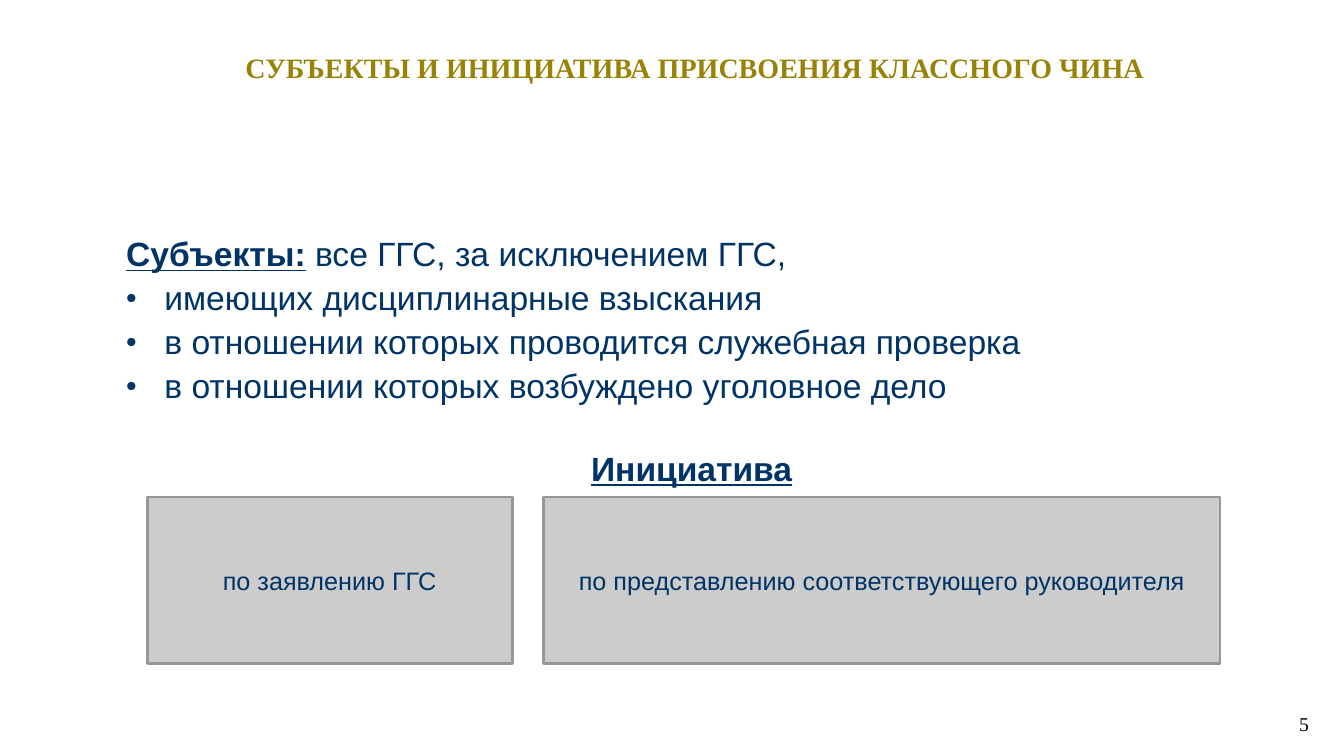
import pptx
import pptx.dml.color
import pptx.enum.shapes
import pptx.enum.text
import pptx.oxml.ns
import pptx.util
from lxml import etree

Inches, Pt = pptx.util.Inches, pptx.util.Pt
ALIGN, ANCHOR = pptx.enum.text.PP_ALIGN, pptx.enum.text.MSO_ANCHOR
COLORS = {"title": "998307", "text": "003366", "number": "000000",
          "fill": "CCCCCC", "line": "979797"}


def rgb(name):
    """Return the named palette colour."""
    return pptx.dml.color.RGBColor.from_string(COLORS[name])


def place(sp, box):
    """Move a shape to a box given as left, top, width, height in inches."""
    sp.left, sp.top, sp.width, sp.height = map(Inches, box)


def add_text(p, text, size=24, font="Arial", color="text", bold=False,
             underline=False, align=None):
    """Append a formatted run to a paragraph."""
    r = p.add_run()
    r.text = text
    r.font.size, r.font.name = Pt(size), font
    r.font.bold, r.font.underline = bold, underline
    r.font.color.rgb = rgb(color)
    if align is not None:
        p.alignment = align


def set_frame(tf, anchor):
    """Wrap text at a fixed frame size with the given anchor."""
    tf.word_wrap = True
    tf.auto_size = pptx.enum.text.MSO_AUTO_SIZE.NONE
    tf.vertical_anchor = anchor


def set_indent(p, bullet):
    """Give a paragraph a hanging indent, with or without a bullet."""
    pPr = p._p.get_or_add_pPr()
    pPr.set("marL", str(Inches(0.38)))
    pPr.set("indent", str(-Inches(0.38)))

    def add(parent, tag, **attrs):
        return etree.SubElement(parent, pptx.oxml.ns.qn(tag), attrs)

    if bullet:
        add(add(pPr, "a:buClr"), "a:srgbClr", val=COLORS["text"])
        add(pPr, "a:buSzPct", val="90000")
        add(pPr, "a:buFont", typeface="Arial")
        add(pPr, "a:buChar", char="•")
    else:
        add(pPr, "a:buNone")


def fill_title(s, box, text):
    """Fill the title placeholder."""
    sp = s.shapes.title
    place(sp, box)
    set_frame(sp.text_frame, ANCHOR.TOP)
    add_text(sp.text_frame.paragraphs[0], text, size=20, font="Times New Roman",
             color="title", bold=True, align=ALIGN.CENTER)


def fill_body(s, box, lead, intro, items, heading):
    """Fill the body placeholder with the subjects list and closing heading."""
    sp = s.placeholders[1]
    place(sp, box)
    tf = sp.text_frame
    set_frame(tf, ANCHOR.TOP)
    p = tf.paragraphs[0]
    add_text(p, lead, bold=True, underline=True, align=ALIGN.JUSTIFY)
    add_text(p, intro)
    for item in items:
        add_text(tf.add_paragraph(), item, align=ALIGN.JUSTIFY)
    for i, p in enumerate(tf.paragraphs):
        p.line_spacing, p.space_before = 0.9, Pt(5.5)
        set_indent(p, bullet=i > 0)
    p = tf.add_paragraph()
    add_text(p, heading, bold=True, underline=True, align=ALIGN.CENTER)
    p.line_spacing, p.space_before = 1.0, Pt(30)
    set_indent(p, bullet=False)


def add_initiatives(s, box, gap, initiatives):
    """Add a row of panels, each given as text and width."""
    left, top, _, height = box
    for text, width in initiatives:
        sp = s.shapes.add_shape(pptx.enum.shapes.MSO_SHAPE.RECTANGLE,
                                *map(Inches, (left, top, width, height)))
        sp.shadow.inherit = False
        sp.fill.solid()
        sp.fill.fore_color.rgb = rgb("fill")
        sp.line.color.rgb = rgb("line")
        sp.line.width = Pt(2)
        set_frame(sp.text_frame, ANCHOR.MIDDLE)
        add_text(sp.text_frame.paragraphs[0], text, size=18, align=ALIGN.CENTER)
        left += width + gap


def add_page_number(s, box, number):
    """Add the page number in the corner."""
    tf = s.shapes.add_textbox(*map(Inches, box)).text_frame
    set_frame(tf, ANCHOR.MIDDLE)
    add_text(tf.paragraphs[0], number, size=14, font="Times New Roman",
             color="number", align=ALIGN.RIGHT)


def main():
    """Build and save the slide."""
    prs = pptx.Presentation()
    prs.slide_width, prs.slide_height = Inches(13.33), Inches(7.5)
    s = prs.slides.add_slide(prs.slide_layouts[1])
    fill_title(s, (1.68, 0.45, 10.42, 0.44),
               "СУБЪЕКТЫ И ИНИЦИАТИВА ПРИСВОЕНИЯ КЛАССНОГО ЧИНА")
    fill_body(s, (1.15, 2.31, 11.42, 3.49),
              "Субъекты:", " все ГГС, за исключением ГГС,",
              ["имеющих дисциплинарные взыскания",
               "в отношении которых проводится служебная проверка",
               "в отношении которых возбуждено уголовное дело"],
              "Инициатива")
    add_initiatives(s, (1.46, 4.93, 10.64, 1.65), 0.31,
                    [("по заявлению ГГС", 3.62),
                     ("по представлению соответствующего руководителя", 6.71)])
    add_page_number(s, (9.97, 6.98, 3.11, 0.4), "5")
    prs.save("out.pptx")


main()
